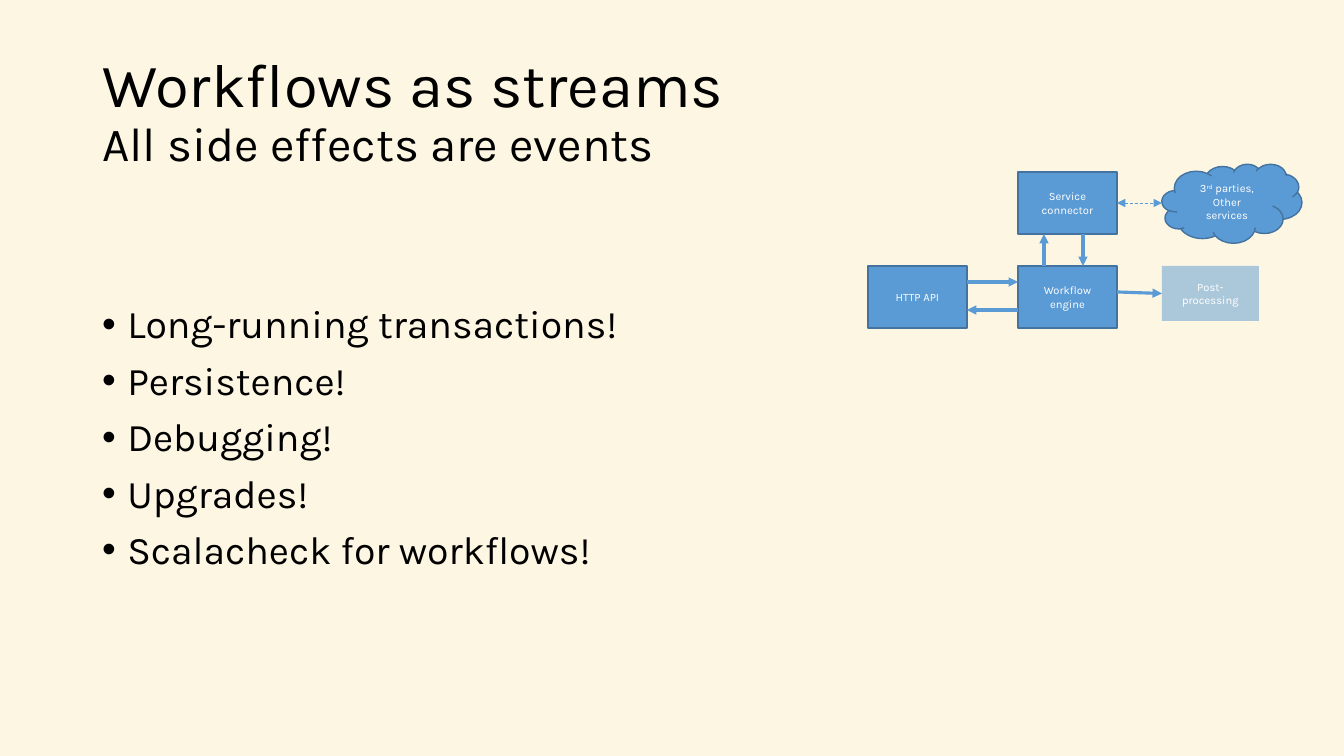
"""Builds the slide on workflows as streams of events."""
from dataclasses import dataclass
from typing import Optional

from lxml.etree import SubElement
from pptx import Presentation
from pptx.dml.color import RGBColor
from pptx.enum.dml import MSO_LINE
from pptx.enum.shapes import MSO_CONNECTOR, MSO_SHAPE
from pptx.enum.text import MSO_ANCHOR, MSO_AUTO_SIZE, PP_ALIGN
from pptx.oxml.ns import qn
from pptx.util import Emu, Inches, Pt

SLIDE_W, SLIDE_H = 1344, 756
EMU_PER_PX = Inches(13.3333) / SLIDE_W
FONT = "Karla"
CREAM, BLACK, WHITE = "FDF6E3", "000000", "FFFFFF"
BLUE, EDGE = "5B9BD5", "43739E"
LEFT_SIDE, RIGHT_SIDE = 1, 3


@dataclass
class Node:
    label: str
    left: int
    top: int
    width: int = 99
    height: int = 62
    preset: MSO_SHAPE = MSO_SHAPE.RECTANGLE
    faded: bool = False


@dataclass
class Arrow:
    start: tuple[int, int]
    end: tuple[int, int]
    both_ways: bool = False
    source: Optional[str] = None
    target: Optional[str] = None


SERVICE, POST = "Service connector", "Post-processing"
PARTIES = "3^rd^ parties,\nOther services"
NODES = [
    Node("HTTP API", 868, 266),
    Node("Workflow engine", 1018, 266),
    Node(SERVICE, 1018, 172),
    Node(PARTIES, 1162, 164, 140, 79, MSO_SHAPE.CLOUD),
    Node(POST, 1162, 266, 97, 55, faded=True),
]
ARROWS = [
    Arrow((967, 282), (1018, 282)),
    Arrow((1044, 266), (1044, 234)),
    Arrow((1018, 310), (967, 310)),
    Arrow((1083, 234), (1083, 266)),
    Arrow((1117, 203), (1162, 203), both_ways=True, source=SERVICE),
    Arrow((1117, 292), (1162, 293), target=POST),
]
TITLE = "Workflows as streams\vAll side effects are events"
TITLE_SIZES = [44, 34]
POINTS = [
    "Long-running transactions!",
    "Persistence!",
    "Debugging!",
    "Upgrades!",
    "Scalacheck for workflows!",
]


def px(length: int) -> Emu:
    return Emu(round(length * EMU_PER_PX))


def rgb(value: str) -> RGBColor:
    return RGBColor.from_string(value)


def format_run(run, size: float, color: str) -> None:
    run.font.name = FONT
    run.font.size = Pt(size)
    run.font.color.rgb = rgb(color)


def place(shape, left: int, top: int, width: int, height: int) -> None:
    shape.left, shape.top = px(left), px(top)
    shape.width, shape.height = px(width), px(height)


def write_title(title) -> None:
    place(title, 92, 40, 1159, 146)
    frame = title.text_frame
    frame.text = TITLE
    frame.auto_size = MSO_AUTO_SIZE.NONE
    frame.vertical_anchor = MSO_ANCHOR.MIDDLE
    heading = frame.paragraphs[0]
    heading.alignment = PP_ALIGN.LEFT
    heading.line_spacing = 0.9
    for run, size in zip(heading.runs, TITLE_SIZES):
        format_run(run, size, BLACK)


def write_points(body) -> None:
    place(body, 92, 300, 1159, 380)
    frame = body.text_frame
    frame.text = "\n".join(POINTS)
    frame.auto_size = MSO_AUTO_SIZE.NONE
    for point in frame.paragraphs:
        point.line_spacing = 0.9
        point.space_before = Pt(10)
        properties = point._p.get_or_add_pPr()
        properties.set("marL", str(Inches(0.25)))
        properties.set("indent", str(-Inches(0.25)))
        SubElement(properties, qn("a:buChar"), char="•")
        format_run(point.runs[0], 28, BLACK)


def write_label(frame, label: str) -> None:
    frame.text = label.replace("^", "")
    frame.word_wrap = True
    frame.vertical_anchor = MSO_ANCHOR.MIDDLE
    for paragraph, line in zip(frame.paragraphs, label.split("\n")):
        paragraph.alignment = PP_ALIGN.CENTER
        parts = line.split("^")
        paragraph.runs[0].text = parts[0]
        for part in parts[1:]:
            paragraph.add_run().text = part
        for index, run in enumerate(paragraph.runs):
            format_run(run, 8, WHITE)
            if index % 2:
                run._r.get_or_add_rPr().set("baseline", "30000")


def draw_node(slide, node: Node):
    shape = slide.shapes.add_shape(
        node.preset, px(node.left), px(node.top), px(node.width), px(node.height))
    shape.shadow.inherit = False
    shape.fill.solid()
    shape.fill.fore_color.rgb = rgb(BLUE)
    if node.faded:
        shape.line.fill.background()
        color = shape._element.spPr.find(qn("a:solidFill"))[0]
        SubElement(color, qn("a:alpha"), val="50000")
    else:
        shape.line.color.rgb = rgb(EDGE)
        shape.line.width = Pt(1)
    write_label(shape.text_frame, node.label)
    return shape


def draw_arrow(slide, arrow: Arrow, drawn: dict) -> None:
    connector = slide.shapes.add_connector(
        MSO_CONNECTOR.STRAIGHT, *map(px, arrow.start + arrow.end))
    if arrow.source:
        connector.begin_connect(drawn[arrow.source], RIGHT_SIDE)
    if arrow.target:
        connector.end_connect(drawn[arrow.target], LEFT_SIDE)
    line = connector.line
    line.color.rgb = rgb(BLUE)
    line.width = Pt(0.5 if arrow.both_ways else 2.25)
    if arrow.both_ways:
        line.dash_style = MSO_LINE.DASH
    outline = line._get_or_add_ln()
    for tip in ["a:headEnd", "a:tailEnd"] if arrow.both_ways else ["a:tailEnd"]:
        SubElement(outline, qn(tip), type="triangle")
    SubElement(connector._element.spPr, qn("a:effectLst"))


def main() -> None:
    deck = Presentation()
    deck.slide_width, deck.slide_height = px(SLIDE_W), px(SLIDE_H)
    slide = deck.slides.add_slide(deck.slide_layouts[1])
    slide.background.fill.solid()
    slide.background.fill.fore_color.rgb = rgb(CREAM)
    write_title(slide.shapes.title)
    write_points(slide.placeholders[1])
    drawn = {node.label: draw_node(slide, node) for node in NODES}
    for arrow in ARROWS:
        draw_arrow(slide, arrow, drawn)
    deck.save("out.pptx")


if __name__ == "__main__":
    main()
